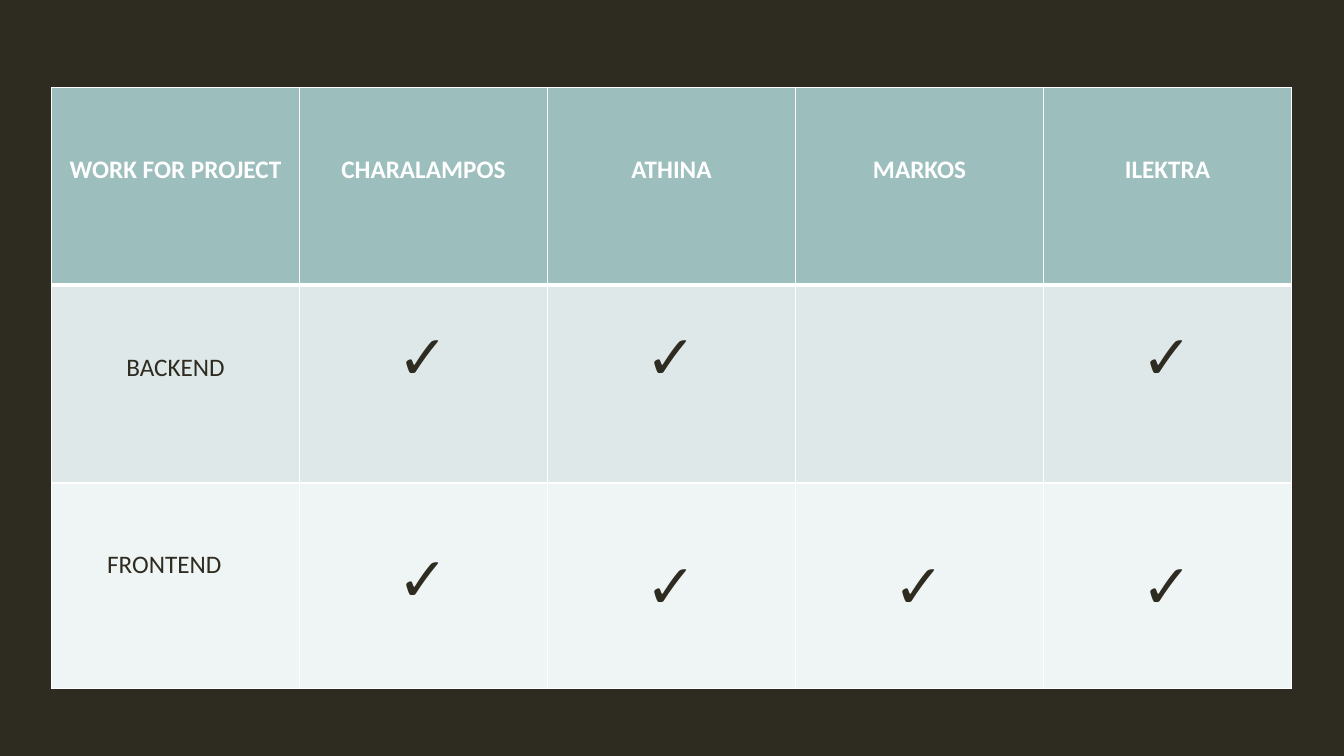
"""Build a slide with a table of who works on which part of the project."""
from dataclasses import dataclass

import pptx
import pptx.dml.color
import pptx.enum.text
import pptx.oxml
import pptx.oxml.ns
import pptx.table
import pptx.util

Cm = pptx.util.Cm
Pt = pptx.util.Pt
RGBColor = pptx.dml.color.RGBColor
Align = pptx.enum.text.PP_ALIGN

DARK = RGBColor(0x2E, 0x2B, 0x21)
WHITE = RGBColor(0xFF, 0xFF, 0xFF)
TEAL = RGBColor(0x9C, 0xBE, 0xBD)
PALE_TEAL = RGBColor(0xDE, 0xE8, 0xE8)
PALEST_TEAL = RGBColor(0xEF, 0xF4, 0xF4)

FONT = "Calibri"
CHECK = "✓"
COLUMN_WIDTH = Cm(6.25)
SIDE_MARGIN = Cm(0.25)
LOW = Cm(1.68)
MIDDLE = Cm(1.51)
HIGH = Cm(0.9)
THIN, THICK = 1, 3


@dataclass(frozen=True)
class Entry:
    text: str
    top: int = LOW
    left: int = SIDE_MARGIN
    align: Align = Align.CENTER


@dataclass(frozen=True)
class Row:
    height: int
    fill: RGBColor
    color: RGBColor
    entries: tuple[Entry, ...]
    bold: bool = False
    line_above: float = THIN
    line_below: float = THIN


HEADINGS = ("WORK FOR PROJECT", "CHARALAMPOS", "ATHINA", "MARKOS", "ILEKTRA")
HIGH_CHECK = Entry(CHECK, top=HIGH)
LOW_CHECK = Entry(CHECK)

ROWS = (
    Row(Cm(4.98), TEAL, WHITE, tuple(Entry(heading) for heading in HEADINGS),
        bold=True, line_below=THICK),
    Row(Cm(4.98), PALE_TEAL, DARK,
        (Entry("BACKEND"), HIGH_CHECK, HIGH_CHECK, Entry(""), HIGH_CHECK),
        line_above=THICK),
    Row(Cm(5.18), PALEST_TEAL, DARK,
        (Entry("FRONTEND", left=Cm(1.4), align=Align.LEFT),
         Entry(CHECK, top=MIDDLE), LOW_CHECK, LOW_CHECK, LOW_CHECK)),
)


def write_text(cell: pptx.table._Cell, text: str, *, size: float, bold: bool,
               color: RGBColor, align: Align) -> None:
    """Write one formatted paragraph in a cell."""
    paragraph = cell.text_frame.paragraphs[0]
    paragraph.alignment = align
    run = paragraph.add_run()
    run.text = text
    run.font.name = FONT
    run.font.size = Pt(size)
    run.font.bold = bold
    run.font.color.rgb = color


def draw_borders(cell: pptx.table._Cell, above: float, below: float) -> None:
    """Give a cell white lines on its four sides."""
    properties = cell._tc.get_or_add_tcPr()
    sides = (("lnL", THIN), ("lnR", THIN), ("lnT", above), ("lnB", below))
    for position, (side, width) in enumerate(sides):
        line = pptx.oxml.parse_xml(
            f'<a:{side} {pptx.oxml.ns.nsdecls("a")} w="{int(Pt(width))}">'
            f'<a:solidFill><a:srgbClr val="{WHITE}"/></a:solidFill></a:{side}>')
        properties.insert(position, line)


def fill_cell(cell: pptx.table._Cell, entry: Entry, row: Row) -> None:
    """Fill, outline and letter one cell."""
    cell.fill.solid()
    cell.fill.fore_color.rgb = row.fill
    draw_borders(cell, row.line_above, row.line_below)
    cell.margin_top = entry.top
    cell.margin_left = entry.left
    if entry.text:
        is_check = entry.text == CHECK
        write_text(cell, entry.text, size=44 if is_check else 18,
                   bold=is_check or row.bold, color=row.color, align=entry.align)


def main() -> None:
    """Create and save the presentation."""
    presentation = pptx.Presentation()
    presentation.slide_width = Cm(33.87)
    presentation.slide_height = Cm(19.05)
    slide = presentation.slides.add_slide(presentation.slide_layouts[6])
    slide.background.fill.solid()
    slide.background.fill.fore_color.rgb = DARK

    table = slide.shapes.add_table(
        len(ROWS), len(HEADINGS), Cm(1.3), Cm(2.21),
        COLUMN_WIDTH * len(HEADINGS), sum(row.height for row in ROWS)).table
    for column in table.columns:
        column.width = COLUMN_WIDTH
    for row_number, row in enumerate(ROWS):
        table.rows[row_number].height = row.height
        for column_number, entry in enumerate(row.entries):
            fill_cell(table.cell(row_number, column_number), entry, row)

    presentation.save("out.pptx")


if __name__ == "__main__":
    main()
